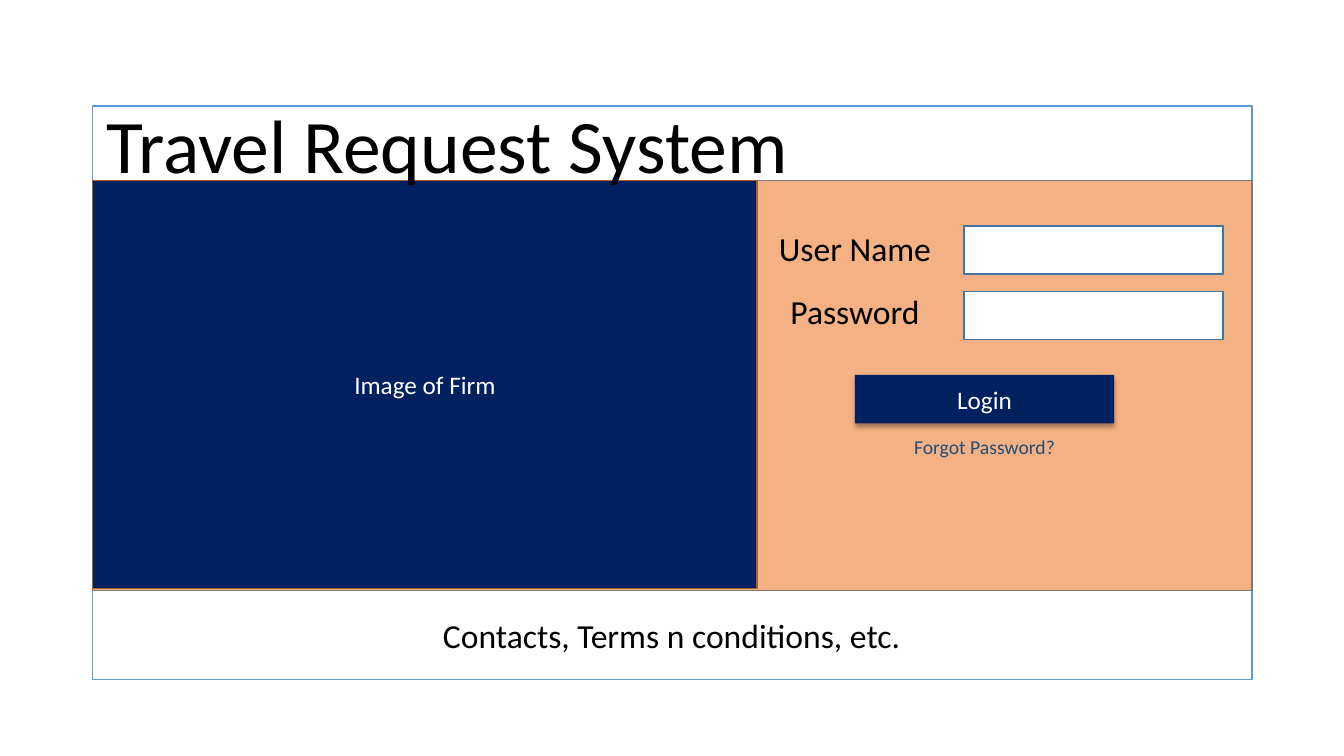
from lxml.etree import SubElement
from pptx import Presentation
from pptx.dml.color import RGBColor
from pptx.enum.shapes import MSO_SHAPE
from pptx.enum.text import MSO_ANCHOR, MSO_AUTO_SIZE, PP_ALIGN
from pptx.oxml.ns import qn
from pptx.util import Inches, Pt

NAVY, WHITE, BLACK = "002060", "FFFFFF", "000000"
LEFT, WIDTH, BODY_TOP = 0.92, 11.5, 1.79


def set_text(sp, text, size, color, anchor=MSO_ANCHOR.TOP, wrap=True):
    """Write one centred line of text into a shape."""
    tf = sp.text_frame
    frame_format = {"word_wrap": wrap, "auto_size": MSO_AUTO_SIZE.NONE,
                    "vertical_anchor": anchor}
    for name, value in frame_format.items():
        setattr(tf, name, value)
    p = tf.paragraphs[0]
    p.alignment = PP_ALIGN.CENTER
    r = p.add_run()
    r.text = text
    for name, value in {"name": "Calibri", "size": Pt(size)}.items():
        setattr(r.font, name, value)
    r.font.color.rgb = RGBColor.from_string(color)


def add_box(box, fill, line=None):
    """Add a flat rectangle, with an outline if a line colour is given."""
    sp = s.shapes.add_shape(MSO_SHAPE.RECTANGLE, *map(Inches, box))
    sp.shadow.inherit = False
    sp.fill.solid()
    sp.fill.fore_color.rgb = RGBColor.from_string(fill)
    if line:
        sp.line.color.rgb = RGBColor.from_string(line)
        sp.line.width = Pt(1)
    else:
        sp.line.fill.background()
    return sp


prs = Presentation()
prs.slide_width, prs.slide_height = Inches(13.33), Inches(7.5)
s = prs.slides.add_slide(prs.slide_layouts[5])

# Page frame, login panel and image area
add_box((LEFT, 1.05, WIDTH, 5.69), WHITE, "5B9BD5")
add_box((LEFT, BODY_TOP, WIDTH, 4.07), "F4B183", "7A7A7A")
image_area = add_box((LEFT, BODY_TOP, 6.59, 4.05), NAVY, "AF5C24")
set_text(image_area, "Image of Firm", 18, WHITE, MSO_ANCHOR.MIDDLE)

# Input fields
for field_top in (2.24, 2.89):
    add_box((9.56, field_top, 2.57, 0.48), WHITE, "43739E")

# Login button with a soft shadow
login = add_box((8.48, 3.72, 2.57, 0.48), NAVY)
set_text(login, "Login", 18, WHITE, MSO_ANCHOR.MIDDLE)
effects = login._element.spPr.find(qn("a:effectLst"))
shadow = SubElement(effects, qn("a:outerShdw"), blurRad=str(Pt(3.5)),
                    dist=str(Pt(2.2)), dir="5400000", rotWithShape="0")
shadow_color = SubElement(shadow, qn("a:srgbClr"), val=BLACK)
SubElement(shadow_color, qn("a:alpha"), val="32000")

# Labels
labels = [
    ("User Name", (7.53, 2.21, 1.9, 0.5), 24, BLACK),
    ("Password", (7.53, 2.84, 1.9, 0.5), 24, BLACK),
    ("Forgot Password?", (8.96, 4.27, 1.61, 0.34), 14, "1F4E79"),
    ("Contacts, Terms n conditions, etc.", (0.9, 6.05, 11.52, 0.5), 24, BLACK),
]
for text, box, size, color in labels:
    label = s.shapes.add_textbox(*map(Inches, box))
    set_text(label, text, size, color, wrap=size > 14)

# Title, brought in front of the page frame
title = s.shapes.title
title_box = {"left": LEFT, "top": 0.92, "width": 7.03, "height": 1.01}
for name, value in title_box.items():
    setattr(title, name, Inches(value))
set_text(title, "Travel Request System", 54, BLACK, wrap=False)
title._element.getparent().append(title._element)

prs.save("out.pptx")
